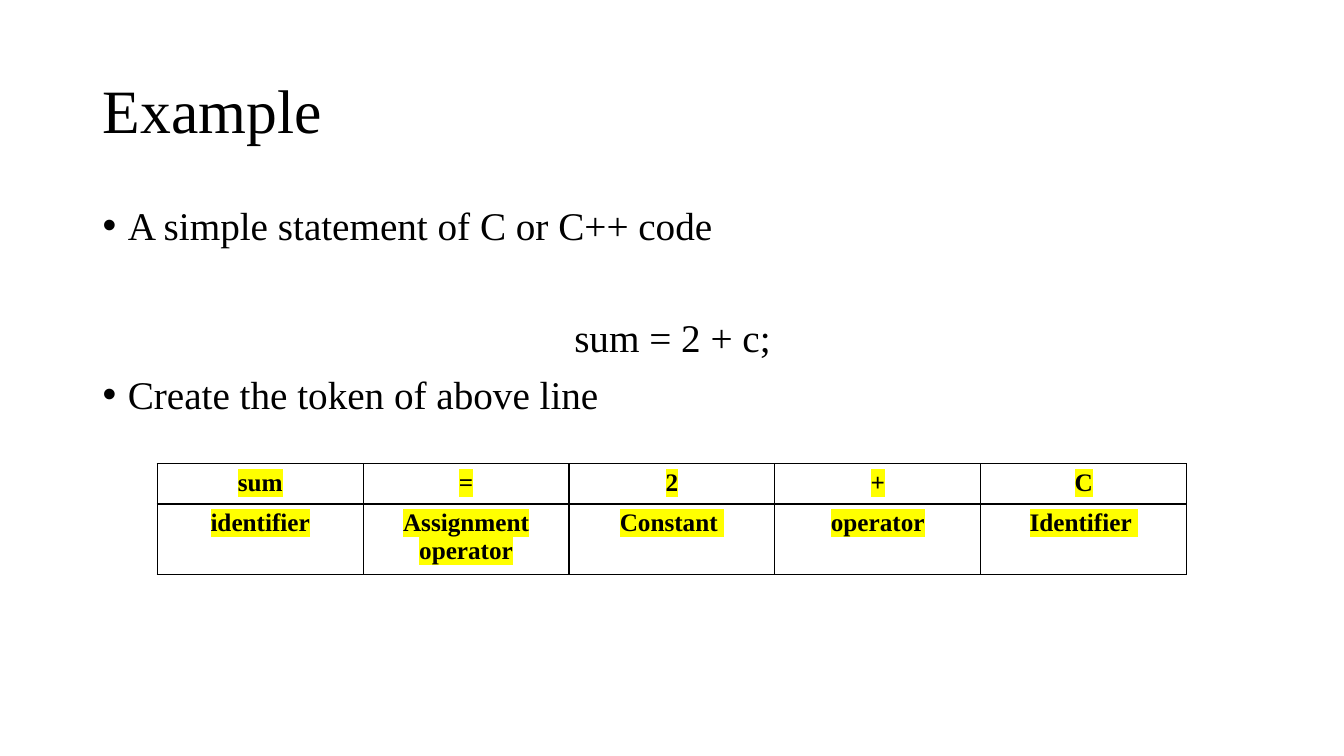
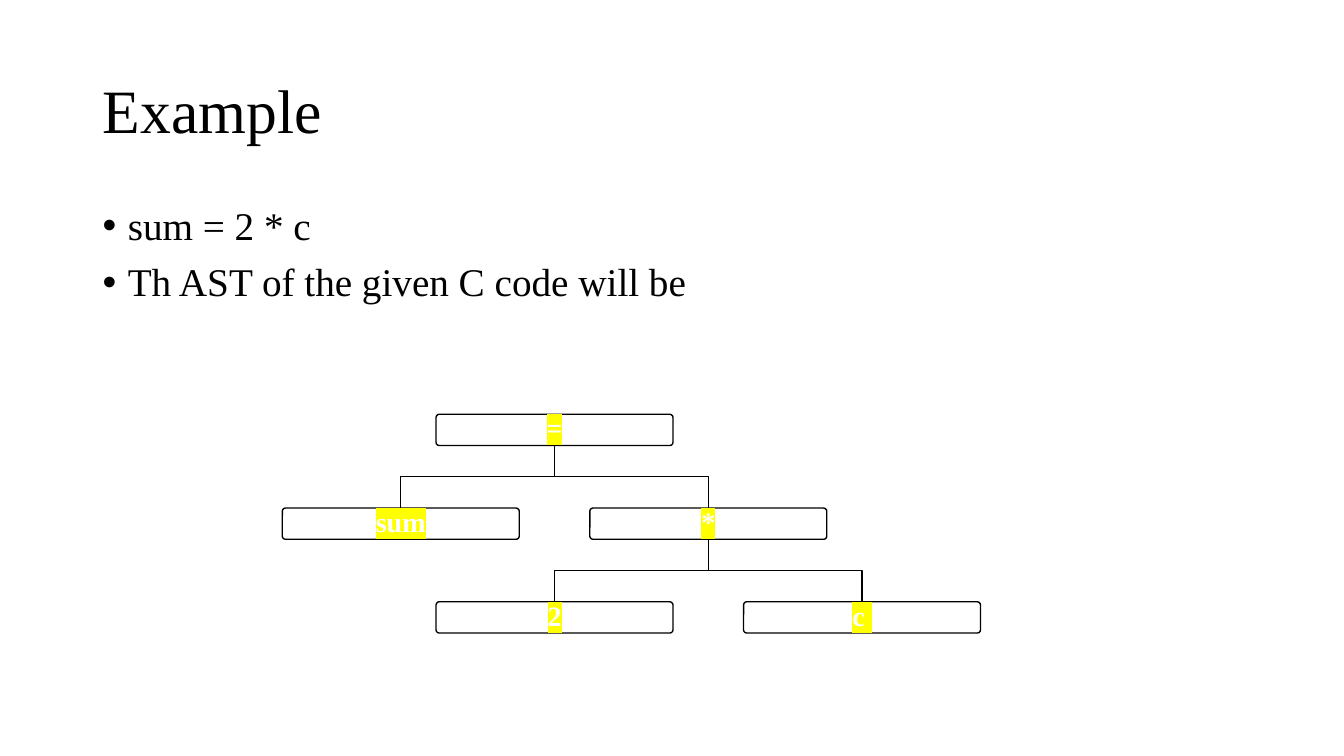
import pptx
import pptx.dml.color
import pptx.enum.shapes
import pptx.enum.text
import pptx.oxml
import pptx.oxml.ns
import pptx.util
from pptx.util import Inches, Pt

BLACK = pptx.dml.color.RGBColor(0x00, 0x00, 0x00)
WHITE = pptx.dml.color.RGBColor(0xFF, 0xFF, 0xFF)
YELLOW = pptx.dml.color.RGBColor(0xFF, 0xFF, 0x00)
FONT = "Times New Roman"
NAMESPACE = pptx.oxml.ns.nsdecls("a")
CENTER = pptx.enum.text.PP_ALIGN.CENTER
MIDDLE = pptx.enum.text.MSO_ANCHOR.MIDDLE

MARGIN = 0.92
CONTENT_WIDTH = 11.5
LINE_SPACING = 0.9


def style_run(para, size, color=BLACK, highlighted=False):
    """Format the first run; a highlighted run is also bold."""
    font = para.runs[0].font
    font.name = FONT
    font.size = Pt(size)
    font.color.rgb = color
    if highlighted:
        font.bold = True
        mark = pptx.oxml.parse_xml(
            f'<a:highlight {NAMESPACE}><a:srgbClr val="{YELLOW}"/></a:highlight>')
        para.runs[0]._r.rPr.find(pptx.oxml.ns.qn("a:solidFill")).addnext(mark)


def add_example_slide(deck, lines):
    """Add a slide with its title and body; lines hold (text, has bullet, space before)."""
    page = deck.slides.add_slide(deck.slide_layouts[6])
    title = page.shapes.add_textbox(
        Inches(MARGIN), Inches(0.4), Inches(CONTENT_WIDTH), Inches(1.45))
    title.text_frame.word_wrap = True
    title.text_frame.vertical_anchor = MIDDLE
    title.text_frame.text = "Example"
    title.text_frame.paragraphs[0].line_spacing = LINE_SPACING
    style_run(title.text_frame.paragraphs[0], 44)

    body = page.shapes.add_textbox(
        Inches(MARGIN), Inches(2), Inches(CONTENT_WIDTH), Inches(4.76))
    body.text_frame.word_wrap = True
    body.text_frame.text = "\n".join(text for text, _, _ in lines)
    for para, (_, has_bullet, space_before) in zip(body.text_frame.paragraphs, lines):
        para.line_spacing = LINE_SPACING
        para.space_before = Pt(space_before)
        style_run(para, 28)
        if has_bullet:
            properties = para._p.get_or_add_pPr()
            properties.set("marL", str(Inches(0.25)))
            properties.set("indent", str(-Inches(0.25)))
            for bullet in ('<a:buFont {} typeface="Arial"/>', '<a:buChar {} char="•"/>'):
                properties.append(pptx.oxml.parse_xml(bullet.format(NAMESPACE)))
        else:
            para.alignment = CENTER
    return page


deck = pptx.Presentation()
deck.slide_width = Inches(13.33)
deck.slide_height = Inches(7.5)

# Tokens of a statement
page = add_example_slide(deck, [
    ("A simple statement of C or C++ code", True, 10),
    ("sum = 2 + c;", False, 50),
    ("Create the token of above line", True, 10),
])
tokens = [
    ["sum", "=", "2", "+", "C"],
    ["identifier", "Assignment operator", "Constant ", "operator", "Identifier "],
]
row_heights = [0.28, 0.48]
table = page.shapes.add_table(
    len(tokens), len(tokens[0]), Inches(1.56), Inches(4.6),
    Inches(10.21), Inches(sum(row_heights))).table
table.first_row = False
table.horz_banding = False
for row, height, texts in zip(table.rows, row_heights, tokens):
    row.height = Inches(height)
    for cell, text in zip(row.cells, texts):
        cell.text = text
        cell.fill.background()
        cell.text_frame.paragraphs[0].alignment = CENTER
        style_run(cell.text_frame.paragraphs[0], 18, highlighted=True)
        for position, side in enumerate(("lnL", "lnR", "lnT", "lnB")):
            border = pptx.oxml.parse_xml(
                f'<a:{side} {NAMESPACE} w="{Pt(1)}"><a:solidFill>'
                f'<a:srgbClr val="{BLACK}"/></a:solidFill></a:{side}>')
            cell._tc.get_or_add_tcPr().insert(position, border)

# Abstract syntax tree
page = add_example_slide(deck, [
    ("sum = 2 * c", True, 10),
    ("Th AST of the given C code will be", True, 10),
])
TREE_LEFT, TREE_TOP = 2.8, 4.11
COLUMN_STEP, LEVEL_STEP = 1.525, 0.93
NODE_WIDTH, NODE_HEIGHT = 2.35, 0.31
# Each node: text, column, level, column of its parent
nodes = [
    ("=", 1, 0, None),
    ("sum", 0, 1, 1),
    ("*", 2, 1, 1),
    ("2", 1, 2, 2),
    ("c ", 3, 2, 2),
]
for text, column, level, parent_column in nodes:
    left = TREE_LEFT + column * COLUMN_STEP
    top = TREE_TOP + level * LEVEL_STEP
    if parent_column is not None:
        center = left + NODE_WIDTH / 2
        parent_center = center + (parent_column - column) * COLUMN_STEP
        parent_bottom = top - LEVEL_STEP + NODE_HEIGHT
        bend = (parent_bottom + top) / 2
        builder = page.shapes.build_freeform(
            Inches(parent_center), Inches(parent_bottom))
        builder.add_line_segments(
            [(Inches(x), Inches(y)) for x, y in
             ((parent_center, bend), (center, bend), (center, top))], close=False)
        branch = builder.convert_to_shape()
        branch.shadow.inherit = False
        branch.fill.background()
        branch.line.color.rgb = BLACK
        branch.line.width = Pt(1)

    box = page.shapes.add_shape(
        pptx.enum.shapes.MSO_SHAPE.ROUNDED_RECTANGLE,
        Inches(left), Inches(top), Inches(NODE_WIDTH), Inches(NODE_HEIGHT))
    box.adjustments[0] = 0.1
    box.shadow.inherit = False
    box.fill.solid()
    box.fill.fore_color.rgb = WHITE
    box.line.color.rgb = BLACK
    box.line.width = Pt(1)
    frame = box.text_frame
    frame.margin_left = frame.margin_right = Inches(0.08)
    frame.margin_top = frame.margin_bottom = Inches(0)
    frame.vertical_anchor = MIDDLE
    frame.text = text
    frame.paragraphs[0].alignment = CENTER
    frame.paragraphs[0].line_spacing = LINE_SPACING
    style_run(frame.paragraphs[0], 20, WHITE, highlighted=True)

deck.save("out.pptx")
